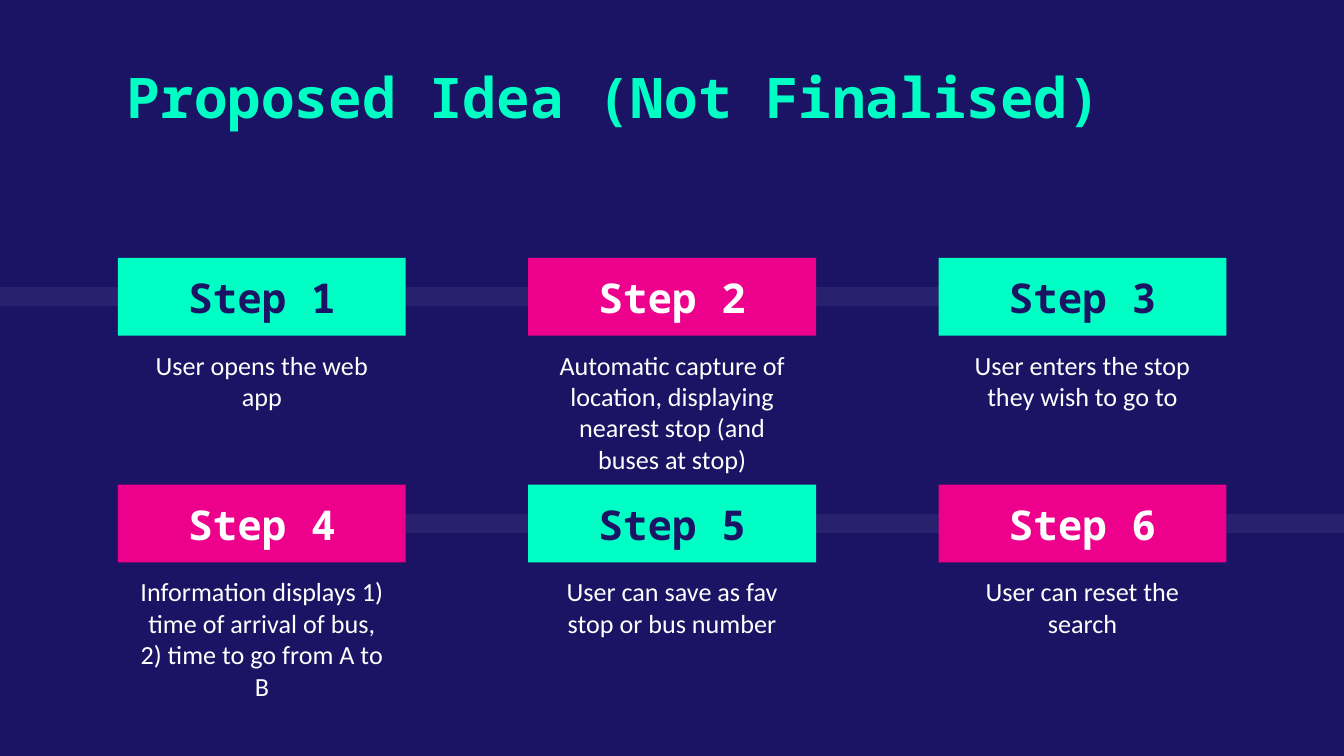
from lxml import etree
from pptx import Presentation
from pptx.dml.color import RGBColor
from pptx.enum import shapes, text
from pptx.oxml import ns
from pptx.util import Pt

NAVY, MINT, PINK, WHITE = "1B1464", "00FFC5", "EC008C", "FFFFFF"
MONO, SANS = "Noto Sans Mono", "Calibri"

STEPS = [
    "User opens the web app",
    "Automatic capture of location, displaying nearest stop (and buses at stop)",
    "User enters the stop they wish to go to",
    "Information displays 1) time of arrival of bus, 2) time to go from A to B",
    "User can save as fav stop or bus number",
    "User can reset the search",
]
COLUMNS = 3
LEFT, TOP = 63.2, 138.2
COLUMN_STEP, ROW_STEP = 219.8, 121.5
LABEL_W, LABEL_H = 154.2, 41.6
NOTE_W, NOTE_H = 149.2, 52.6
BAND_H = 10.2


def rgb(color):
    return RGBColor.from_string(color)


def write(sp, content, *, font, size, color, bold=False, anchor=text.MSO_ANCHOR.TOP):
    tf = sp.text_frame
    tf.word_wrap = True
    tf.vertical_anchor = anchor
    tf.margin_left = tf.margin_right = tf.margin_top = tf.margin_bottom = Pt(7.2)
    p = tf.paragraphs[0]
    p.alignment = text.PP_ALIGN.CENTER
    r = p.add_run()
    r.text = content
    r.font.name, r.font.size, r.font.bold = font, Pt(size), bold
    r.font.color.rgb = rgb(color)


class Deck:
    def __init__(self, width, height, background):
        self.prs = Presentation()
        self.prs.slide_width, self.prs.slide_height = Pt(width), Pt(height)
        self.s = self.prs.slides.add_slide(self.prs.slide_layouts[6])
        fill = self.s.background.fill
        fill.solid()
        fill.fore_color.rgb = rgb(background)

    def rect(self, x, y, w, h, color, opacity=100):
        sp = self.s.shapes.add_shape(
            shapes.MSO_SHAPE.RECTANGLE, Pt(x), Pt(y), Pt(w), Pt(h))
        sp.shadow.inherit = False
        sp.line.fill.background()
        sp.fill.solid()
        sp.fill.fore_color.rgb = rgb(color)
        if opacity < 100:
            clr = sp.fill._xPr.find(".//" + ns.qn("a:srgbClr"))
            etree.SubElement(clr, ns.qn("a:alpha"), val=str(opacity * 1000))
        return sp

    def text_box(self, x, y, w, h, content, **style):
        sp = self.s.shapes.add_textbox(Pt(x), Pt(y), Pt(w), Pt(h))
        write(sp, content, **style)

    def band(self, row, x, w):
        """Faint stripe behind the labels of one row."""
        y = TOP + row * ROW_STEP + (LABEL_H - BAND_H) / 2
        self.rect(x, y, w, BAND_H, WHITE, opacity=6)

    def step(self, index, note):
        row, column = divmod(index, COLUMNS)
        x, y = LEFT + column * COLUMN_STEP, TOP + row * ROW_STEP
        fill, color = (PINK, WHITE) if index % 2 else (MINT, NAVY)
        self.text_box(x + (LABEL_W - NOTE_W) / 2, y + LABEL_H, NOTE_W, NOTE_H, note,
                      font=SANS, size=14, color=WHITE)
        label = self.rect(x, y, LABEL_W, LABEL_H, fill)
        write(label, f"Step {index + 1}", font=MONO, size=22, color=color,
              bold=True, anchor=text.MSO_ANCHOR.BOTTOM)


def main():
    deck = Deck(720, 405, NAVY)
    deck.band(0, 0, 613.4)
    deck.band(1, 73.4, 646.6)
    deck.text_box(38.9, 26.6, 580.3, 52.6, "Proposed Idea (Not Finalised)",
                  font=MONO, size=30, color=MINT, bold=True)
    # Mint and pink alternate along the steps, so the two rows form a checkerboard.
    for index, note in enumerate(STEPS):
        deck.step(index, note)
    deck.prs.save("out.pptx")


if __name__ == "__main__":
    main()
